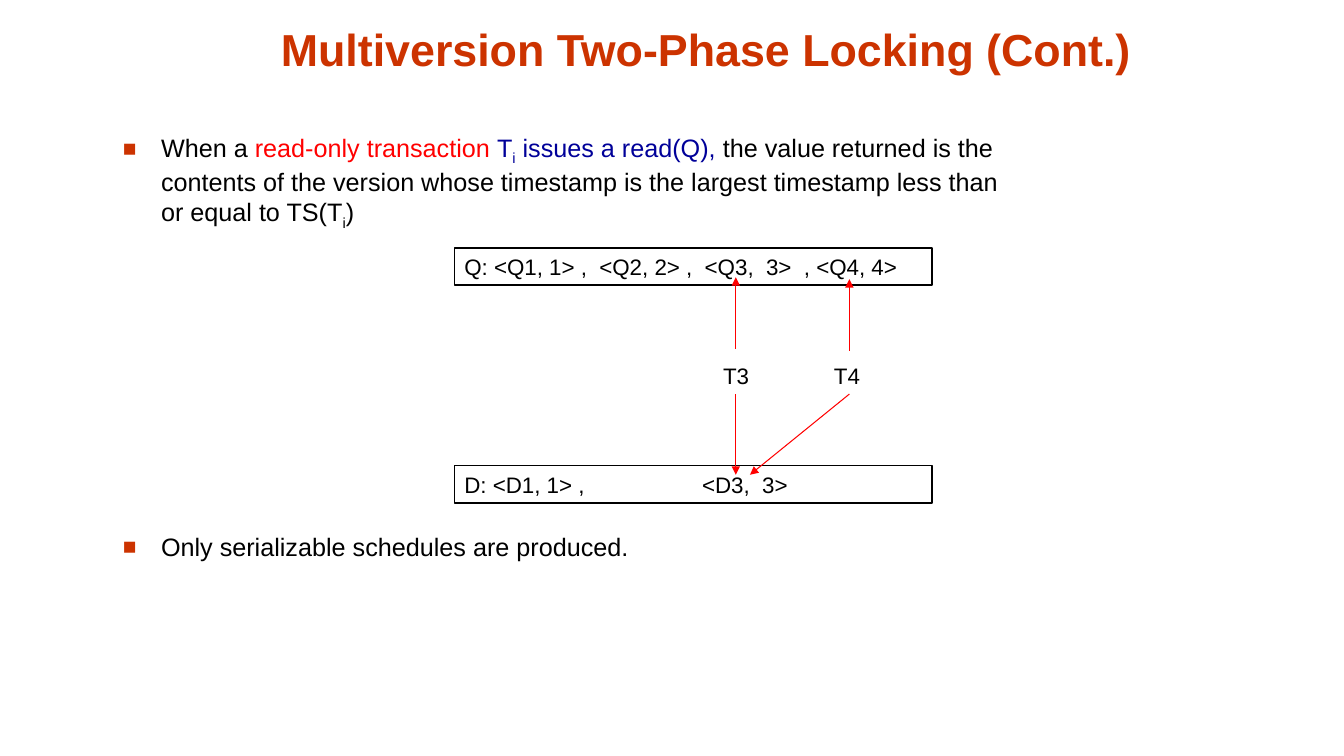
from lxml.etree import SubElement
from pptx import Presentation
from pptx.dml.color import RGBColor
from pptx.enum.shapes import MSO_CONNECTOR, MSO_SHAPE
from pptx.enum.text import MSO_ANCHOR, MSO_AUTO_SIZE, PP_ALIGN
from pptx.oxml.ns import qn
from pptx.util import Inches, Pt

WIDTH, HEIGHT = Inches(13.34), Inches(7.5)
ORANGE, RED, NAVY, BLACK = "CC3300", "FF0000", "000099", "000000"
TITLE_FORMAT = {"name": "Arial", "size": Pt(32), "bold": True}
BODY_FORMAT = {"name": "Arial", "size": Pt(18)}
LABEL_FORMAT = {"name": "Arial", "size": Pt(16)}

# Shares of the slide's size, in percent
MARGIN = 8.4
BOX_LEFT, BOX_WIDTH, BOX_HEIGHT = 33.81, 35.53, 4.93
Q_TOP, D_TOP, LABEL_TOP = 32.8, 61.6, 47.2
T3_X, T4_X = 54.75, 63.2
VERSION_D3_TAB = Inches(2.36)


def across(share):
    return round(WIDTH * share / 100)


def down(share):
    return round(HEIGHT * share / 100)


def area(left, top, width, height):
    return across(left), down(top), across(width), down(height)


def color(hex_text):
    return RGBColor.from_string(hex_text)


def add_run(paragraph, text, font_format, hex_color=BLACK, subscript=False):
    run = paragraph.add_run()
    run.text = text
    for name, value in font_format.items():
        setattr(run.font, name, value)
    run.font.color.rgb = color(hex_color)
    if subscript:
        run.font._element.set("baseline", "-25000")


def add_title(slide, text):
    title = slide.shapes.title
    title.left, title.top, title.width, title.height = area(MARGIN, 1.73, 88.31, 8.93)
    frame = title.text_frame
    frame.auto_size = MSO_AUTO_SIZE.NONE
    frame.vertical_anchor = MSO_ANCHOR.BOTTOM
    paragraph = frame.paragraphs[0]
    paragraph.alignment = PP_ALIGN.CENTER
    add_run(paragraph, text, TITLE_FORMAT, ORANGE)


def add_text(slide, bounds):
    text_box = slide.shapes.add_textbox(*bounds)
    text_box.text_frame.word_wrap = True
    return text_box.text_frame.paragraphs[0]


def add_bullet(slide, top, height, parts):
    paragraph = add_text(slide, area(MARGIN, top, 68.44, height))
    properties = paragraph._p.get_or_add_pPr()
    properties.set("marL", str(Inches(0.38)))
    properties.set("indent", str(-Inches(0.38)))
    bullet_color = SubElement(properties, qn("a:buClr"))
    SubElement(bullet_color, qn("a:srgbClr"), val=ORANGE)
    SubElement(properties, qn("a:buSzPct"), val="90000")
    SubElement(properties, qn("a:buFont"), typeface="Arial")
    SubElement(properties, qn("a:buChar"), char="■")
    for text, *style in parts:
        add_run(paragraph, text, BODY_FORMAT, *style)


def add_version_box(slide, top, text):
    box = slide.shapes.add_shape(
        MSO_SHAPE.RECTANGLE, *area(BOX_LEFT, top, BOX_WIDTH, BOX_HEIGHT))
    box.shadow.inherit = False
    box.fill.background()
    box.line.color.rgb = color(BLACK)
    box.line.width = Pt(1)
    box.text_frame.word_wrap = True
    paragraph = box.text_frame.paragraphs[0]
    paragraph.alignment = PP_ALIGN.LEFT
    tabs = SubElement(paragraph._p.get_or_add_pPr(), qn("a:tabLst"))
    SubElement(tabs, qn("a:tab"), pos=str(VERSION_D3_TAB), algn="l")
    add_run(paragraph, text, LABEL_FORMAT)


def add_arrow(slide, start, end):
    arrow = slide.shapes.add_connector(
        MSO_CONNECTOR.STRAIGHT,
        across(start[0]), down(start[1]), across(end[0]), down(end[1]))
    arrow.line.color.rgb = color(RED)
    arrow.line.width = Pt(0.75)
    SubElement(arrow.line._get_or_add_ln(), qn("a:tailEnd"), type="triangle")
    SubElement(arrow._element.spPr, qn("a:effectLst"))


def main():
    presentation = Presentation()
    presentation.slide_width, presentation.slide_height = WIDTH, HEIGHT
    slide = presentation.slides.add_slide(presentation.slide_layouts[5])
    add_title(slide, "Multiversion Two-Phase Locking (Cont.)")

    # Statements
    add_bullet(slide, 16.8, 14.67, [
        ("When a ",),
        ("read-only transaction ", RED),
        ("T", NAVY),
        ("i", NAVY, True),
        (" issues a read(Q), ", NAVY),
        ("the value returned is the contents of the version whose "
         "timestamp is the largest timestamp less than or equal to TS(T",),
        ("i", BLACK, True),
        (")",),
    ])
    add_bullet(slide, 69.6, 5.33, [("Only serializable schedules are produced.",)])

    # Versions of the data items
    add_version_box(slide, Q_TOP, "Q: <Q1, 1> ,  <Q2, 2> ,  <Q3,  3>  , <Q4, 4>")
    add_version_box(slide, D_TOP, "D: <D1, 1> ,\t<D3,  3>")

    # Transactions
    for text, left in (("T3", 53.07), ("T4", 61.32)):
        paragraph = add_text(slide, area(left, LABEL_TOP, 3.82, BOX_HEIGHT))
        add_run(paragraph, text, LABEL_FORMAT)

    # Reads of each transaction
    for start, end in (
        ((T3_X, 46.13), (T3_X, 36.67)),
        ((T4_X, 46.4), (T4_X, 36.93)),
        ((T3_X, 52.13), (T3_X, 62.8)),
        ((T4_X, 52.13), (55.8, 62.8)),
    ):
        add_arrow(slide, start, end)

    presentation.save("out.pptx")


if __name__ == "__main__":
    main()
